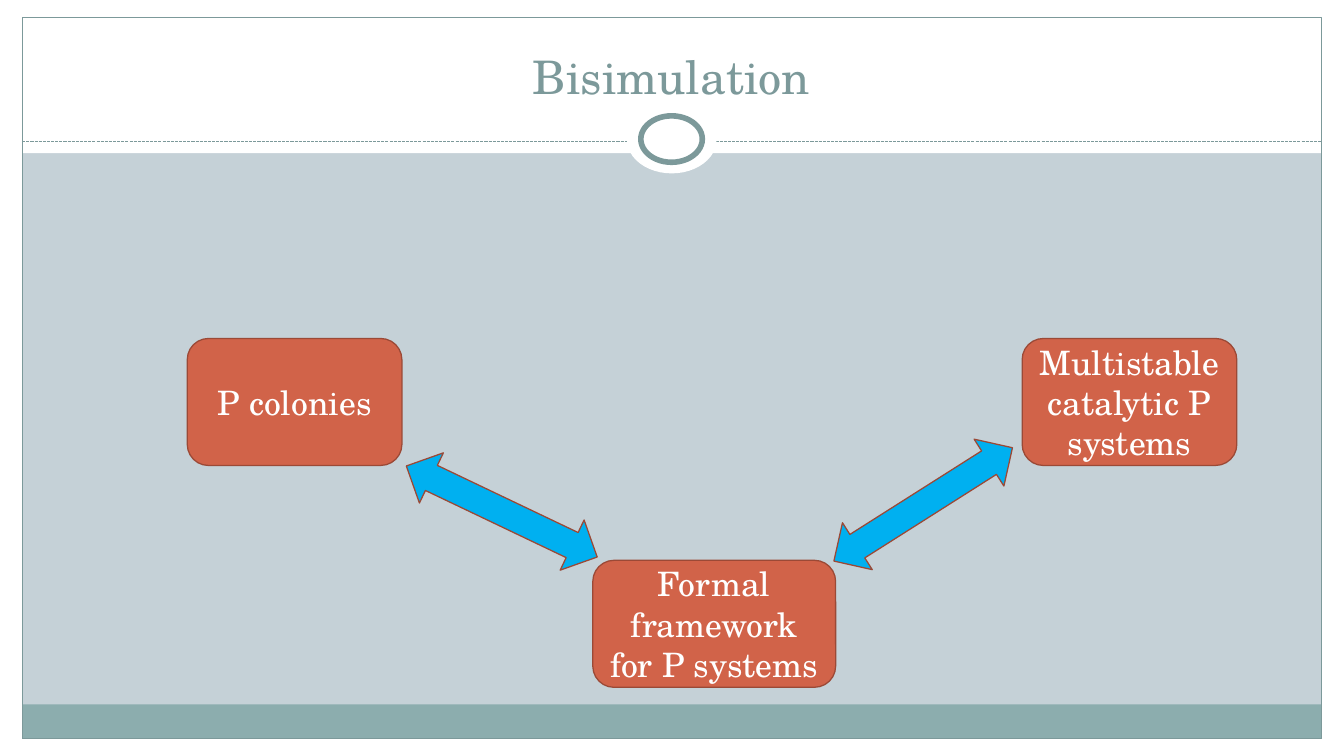
from typing import NamedTuple, Optional

from lxml import etree
from pptx import Presentation
from pptx.dml.color import RGBColor
from pptx.enum.dml import MSO_LINE
from pptx.enum.shapes import MSO_CONNECTOR, MSO_SHAPE
from pptx.enum.text import MSO_ANCHOR, PP_ALIGN
from pptx.oxml.ns import qn
from pptx.util import Cm, Pt

RECTANGLE = MSO_SHAPE.RECTANGLE
ELLIPSE = MSO_SHAPE.OVAL
ROUNDED = MSO_SHAPE.ROUNDED_RECTANGLE
DOUBLE_ARROW = MSO_SHAPE.LEFT_RIGHT_ARROW
STRAIGHT = MSO_CONNECTOR.STRAIGHT
FINE_DASH = MSO_LINE.SQUARE_DOT
CENTER = PP_ALIGN.CENTER
MIDDLE = MSO_ANCHOR.MIDDLE
BOTTOM = MSO_ANCHOR.BOTTOM

FONT = "TeX Gyre Schola"
WHITE = "FFFFFF"
TEAL = "7C999A"
RUST = "9B4936"
WIDTH, HEIGHT = 33.87, 19.05
MARGIN = 0.56
EDGE = 0.43
INNER_WIDTH = WIDTH - 2 * MARGIN
RULE_Y = 3.56


class Figure(NamedTuple):
    """A preset shape; lengths in centimetres, line width in points."""
    kind: MSO_SHAPE
    left: float
    top: float
    width: float
    height: float
    fill: Optional[str] = None
    line: Optional[str] = None
    line_width: float = 0.9
    rotation: float = 0
    label: str = ""


def model_box(label: str, left: float, top: float, width: float = 5.41) -> Figure:
    return Figure(ROUNDED, left, top, width, 3.2, "D16349", RUST, label=label)


def relation_arrow(left: float, top: float, rotation: float) -> Figure:
    return Figure(DOUBLE_ARROW, left, top, 5.33, 1.4, "00B0F0", RUST, rotation=rotation)


BACKDROP = [
    Figure(RECTANGLE, 0, HEIGHT - EDGE, WIDTH, EDGE, WHITE),
    Figure(RECTANGLE, 0, 0, WIDTH, 3.86, WHITE),
    Figure(RECTANGLE, 0, 0, MARGIN, HEIGHT, WHITE),
    Figure(RECTANGLE, WIDTH - MARGIN, 0, MARGIN, HEIGHT, WHITE),
    Figure(RECTANGLE, MARGIN, 17.75, INNER_WIDTH, 0.87, "8CADAE"),
    Figure(RECTANGLE, MARGIN, EDGE, INNER_WIDTH, HEIGHT - 2 * EDGE, None, TEAL, 0.75),
]
RINGS = [
    Figure(ELLIPSE, 15.8, 2.67, 2.26, 1.7, WHITE),
    Figure(ELLIPSE, 16.15, 2.92, 1.55, 1.17, WHITE, TEAL, 4),
]
DIAGRAM = [
    model_box("P colonies", 4.72, 8.53),
    model_box("Multistable catalytic P systems", 25.76, 8.53),
    model_box("Formal framework for P systems", 14.94, 14.12, 6.12),
    relation_arrow(9.98, 12.19, 25.5),
    relation_arrow(20.6, 12.01, 147.6),
]


def color(hex_code: str) -> RGBColor:
    return RGBColor.from_string(hex_code)


def write(shape, text: str, size: float, hex_code: str, anchor: MSO_ANCHOR) -> None:
    frame = shape.text_frame
    frame.text = text
    frame.word_wrap = True
    frame.vertical_anchor = anchor
    paragraph = frame.paragraphs[0]
    paragraph.alignment = CENTER
    font = paragraph.runs[0].font
    font.name = FONT
    font.size = Pt(size)
    font.color.rgb = color(hex_code)


def draw(slide, figure: Figure) -> None:
    shape = slide.shapes.add_shape(
        figure.kind, Cm(figure.left), Cm(figure.top), Cm(figure.width), Cm(figure.height))
    shape.shadow.inherit = False
    shape.rotation = figure.rotation
    if figure.fill:
        shape.fill.solid()
        shape.fill.fore_color.rgb = color(figure.fill)
    else:
        shape.fill.background()
    if figure.line:
        shape.line.color.rgb = color(figure.line)
        shape.line.width = Pt(figure.line_width)
    else:
        shape.line.fill.background()
    if figure.label:
        write(shape, figure.label, 24, WHITE, MIDDLE)


def draw_header_rule(slide) -> None:
    rule = slide.shapes.add_connector(
        STRAIGHT, Cm(MARGIN), Cm(RULE_Y), Cm(WIDTH - MARGIN), Cm(RULE_Y))
    rule.line.color.rgb = color(TEAL)
    rule.line.width = Pt(0.75)
    rule.line.dash_style = FINE_DASH
    etree.SubElement(rule._element.spPr, qn("a:effectLst"))


def place_title(slide, text: str) -> None:
    """Format the title and bring it in front of the header band."""
    title = slide.shapes.title
    title.left, title.top = Cm(1.12), Cm(0.64)
    title.width, title.height = Cm(31.6), Cm(2.11)
    write(title, text, 33, TEAL, BOTTOM)
    slide.shapes._spTree.append(title._element)


def main() -> None:
    deck = Presentation()
    deck.slide_width, deck.slide_height = Cm(WIDTH), Cm(HEIGHT)
    slide = deck.slides.add_slide(deck.slide_layouts.get_by_name("Title Only"))
    slide.background.fill.solid()
    slide.background.fill.fore_color.rgb = color("C5D1D7")

    for figure in BACKDROP:
        draw(slide, figure)
    draw_header_rule(slide)
    for figure in RINGS:
        draw(slide, figure)
    place_title(slide, "Bisimulation")
    for figure in DIAGRAM:
        draw(slide, figure)

    deck.save("out.pptx")


if __name__ == "__main__":
    main()
